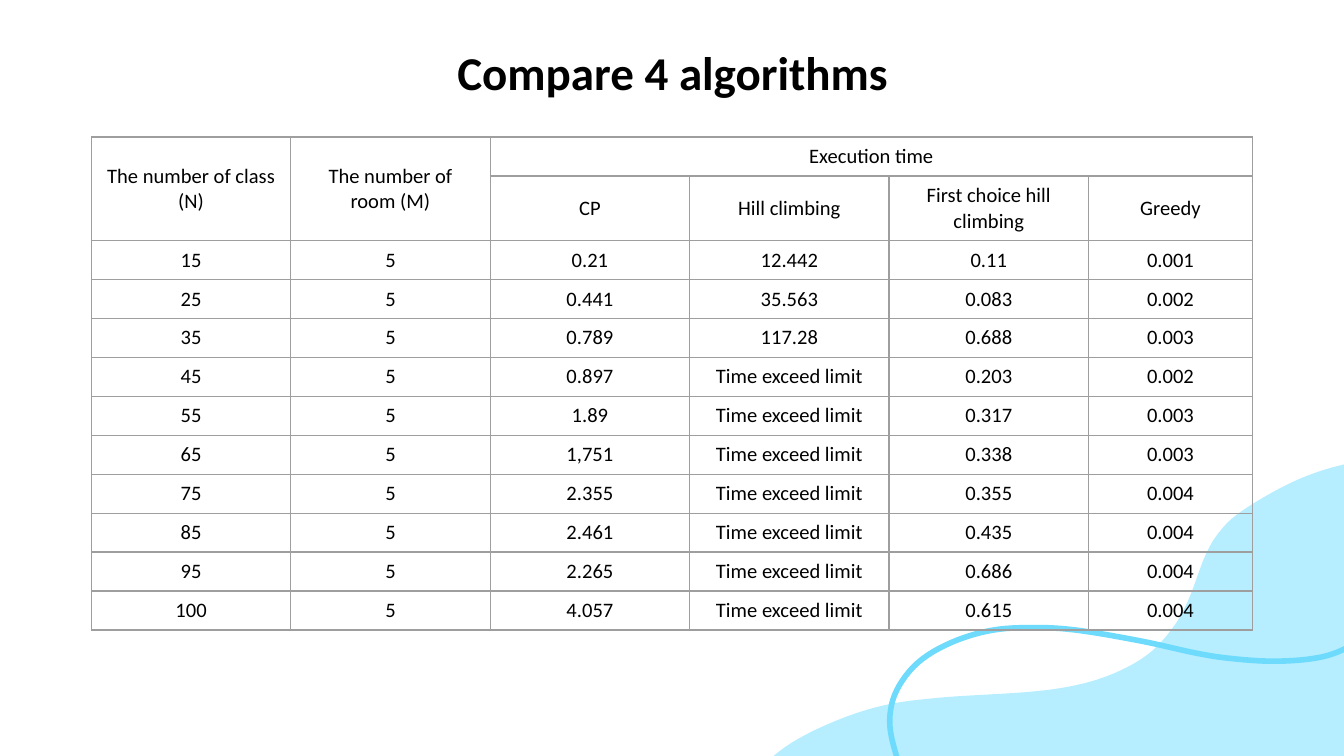
from dataclasses import dataclass
from typing import Optional

from lxml.etree import SubElement
from pptx import Presentation
from pptx.dml.color import RGBColor as RGB
from pptx.enum.text import MSO_ANCHOR as Anchor, PP_ALIGN as Align
from pptx.oxml.ns import qn
from pptx.util import Inches, Pt

Point = tuple[float, float]


@dataclass(frozen=True)
class Theme:
    font: str = "Calibri"
    title_size: float = 25.2
    cell_size: float = 11
    text: str = "000000"
    border: str = "9E9E9E"
    border_width: float = 0.75
    wave: str = "B6EEFF"
    ribbon: str = "6EDBFC"
    ribbon_width: float = 3


@dataclass(frozen=True)
class Curve:
    anchors: tuple[Point, ...]
    corners: tuple[Point, ...] = ()
    fill: Optional[str] = None
    line: Optional[str] = None


@dataclass(frozen=True)
class Header:
    text: str
    row: int
    col: int
    rows: int = 1
    cols: int = 1


THEME = Theme()

WAVE = Curve(
    anchors=(
        (5.51, 6.72), (5.39, 6.33), (5.45, 6.02), (5.59, 5.79), (5.84, 5.56),
        (6.18, 5.38), (6.57, 5.25), (7.01, 5.19), (7.64, 5.15), (8, 5.1),
        (8.29, 5.01), (8.54, 4.87), (8.72, 4.68), (8.84, 4.47), (8.97, 4.13),
        (9.08, 3.95), (9.23, 3.81), (9.53, 3.63), (9.81, 3.51), (10.12, 3.43),
        (10.45, 3.38), (10.79, 3.35), (11.29, 3.39), (11.68, 3.49),
        (11.84, 3.59), (11.89, 3.75), (11.86, 4.12), (11.8, 4.64),
    ),
    corners=((11.8, 6.71),),
    fill=THEME.wave,
)
RIBBON = Curve(
    anchors=(
        (7.08, 6.57), (7.08, 6.45), (6.93, 6.15), (6.75, 5.82), (6.66, 5.59),
        (6.62, 5.36), (6.67, 5.14), (6.83, 4.93), (7.08, 4.78),
        (7.38, 4.69), (7.7, 4.67), (8.02, 4.69), (8.49, 4.77),
        (8.9, 4.86), (9.16, 4.9), (9.47, 4.92), (9.77, 4.9), (9.98, 4.84),
        (10.2, 4.71), (10.38, 4.55), (10.47, 4.41), (10.51, 4.28),
    ),
    line=THEME.ribbon,
)

HEADERS = (
    Header("The number of class (N)", 0, 0, rows=2),
    Header("The number of room (M)", 0, 1, rows=2),
    Header("Execution time", 0, 2, cols=4),
    Header("CP", 1, 2),
    Header("Hill climbing", 1, 3),
    Header("First choice hill climbing", 1, 4),
    Header("Greedy", 1, 5),
)
ROOMS = "5"
TIMEOUT = "Time exceed limit"
RESULTS = (
    ("15", ROOMS, "0.21", "12.442", "0.11", "0.001"),
    ("25", ROOMS, "0.441", "35.563", "0.083", "0.002"),
    ("35", ROOMS, "0.789", "117.28", "0.688", "0.003"),
    ("45", ROOMS, "0.897", TIMEOUT, "0.203", "0.002"),
    ("55", ROOMS, "1.89", TIMEOUT, "0.317", "0.003"),
    ("65", ROOMS, "1,751", TIMEOUT, "0.338", "0.003"),
    ("75", ROOMS, "2.355", TIMEOUT, "0.355", "0.004"),
    ("85", ROOMS, "2.461", TIMEOUT, "0.435", "0.004"),
    ("95", ROOMS, "2.265", TIMEOUT, "0.686", "0.004"),
    ("100", ROOMS, "4.057", TIMEOUT, "0.615", "0.004"),
)
TABLE_WIDTH = 8.64
GREEDY_WIDTH = 1.22
COL_WIDTHS = ((TABLE_WIDTH - GREEDY_WIDTH) / 5,) * 5 + (GREEDY_WIDTH,)
ROW_HEIGHTS = (0.29, 0.48) + (0.29,) * len(RESULTS)


def smooth_points(anchors: tuple[Point, ...], steps: int = 6) -> list[Point]:
    padded = (anchors[0], *anchors, anchors[-1])
    points = [anchors[0]]
    for quad in zip(padded, padded[1:], padded[2:], padded[3:]):
        for i in range(1, steps + 1):
            t = i / steps
            x, y = (
                b + t * (c - a) / 2
                + t**2 * (2 * a - 5 * b + 4 * c - d) / 2
                + t**3 * (3 * b - a - 3 * c + d) / 2
                for a, b, c, d in zip(*quad)
            )
            points.append((x, y))
    return points


def draw_curve(s, curve: Curve) -> None:
    points = [
        (Inches(x), Inches(y))
        for x, y in (*smooth_points(curve.anchors), *curve.corners)
    ]
    builder = s.shapes.build_freeform(*points[0])
    builder.add_line_segments(points[1:], close=curve.fill is not None)
    sp = builder.convert_to_shape()
    sp.shadow.inherit = False
    if curve.fill:
        sp.fill.solid()
        sp.fill.fore_color.rgb = RGB.from_string(curve.fill)
    else:
        sp.fill.background()
    if curve.line:
        sp.line.color.rgb = RGB.from_string(curve.line)
        sp.line.width = Pt(THEME.ribbon_width)
    else:
        sp.line.fill.background()


def write_text(tf, text: str, size: float, bold: bool = False) -> None:
    tf.word_wrap = True
    p = tf.paragraphs[0]
    p.alignment = Align.CENTER
    r = p.add_run()
    r.text = text
    r.font.name = THEME.font
    r.font.size = Pt(size)
    r.font.bold = bold
    r.font.color.rgb = RGB.from_string(THEME.text)


def draw_title(s, text: str) -> None:
    sp = s.shapes.add_textbox(Inches(0.79), Inches(0.22), Inches(8.43), Inches(0.63))
    tf = sp.text_frame
    tf.margin_left = tf.margin_right = tf.margin_top = tf.margin_bottom = Inches(0.1)
    write_text(tf, text, THEME.title_size, bold=True)


def style_cell(cell) -> None:
    cell.vertical_anchor = Anchor.MIDDLE
    props = cell._tc.get_or_add_tcPr()
    for side in ("lnL", "lnR", "lnT", "lnB"):
        ln = SubElement(props, qn(f"a:{side}"), w=str(Pt(THEME.border_width)))
        fill = SubElement(ln, qn("a:solidFill"))
        SubElement(fill, qn("a:srgbClr"), val=THEME.border)
    cell.fill.background()


def draw_table(s) -> None:
    frame = s.shapes.add_table(
        len(ROW_HEIGHTS), len(COL_WIDTHS), Inches(0.68), Inches(1.02),
        Inches(TABLE_WIDTH), Inches(sum(ROW_HEIGHTS)),
    )
    table = frame.table
    table.first_row = table.horz_banding = False
    for column, width in zip(table.columns, COL_WIDTHS):
        column.width = Inches(width)
    for row, height in zip(table.rows, ROW_HEIGHTS):
        row.height = Inches(height)
    for cell in table.iter_cells():
        style_cell(cell)
    for h in HEADERS:
        cell = table.cell(h.row, h.col)
        if h.rows > 1 or h.cols > 1:
            cell.merge(table.cell(h.row + h.rows - 1, h.col + h.cols - 1))
        write_text(cell.text_frame, h.text, THEME.cell_size)
    for i, result in enumerate(RESULTS, start=2):
        for j, value in enumerate(result):
            write_text(table.cell(i, j).text_frame, value, THEME.cell_size)


def main() -> None:
    prs = Presentation()
    prs.slide_width = Inches(10)
    prs.slide_height = prs.slide_width * 9 // 16
    s = prs.slides.add_slide(prs.slide_layouts[6])
    for curve in (WAVE, RIBBON):
        draw_curve(s, curve)
    draw_title(s, "Compare 4 algorithms")
    draw_table(s)
    prs.save("out.pptx")


if __name__ == "__main__":
    main()
